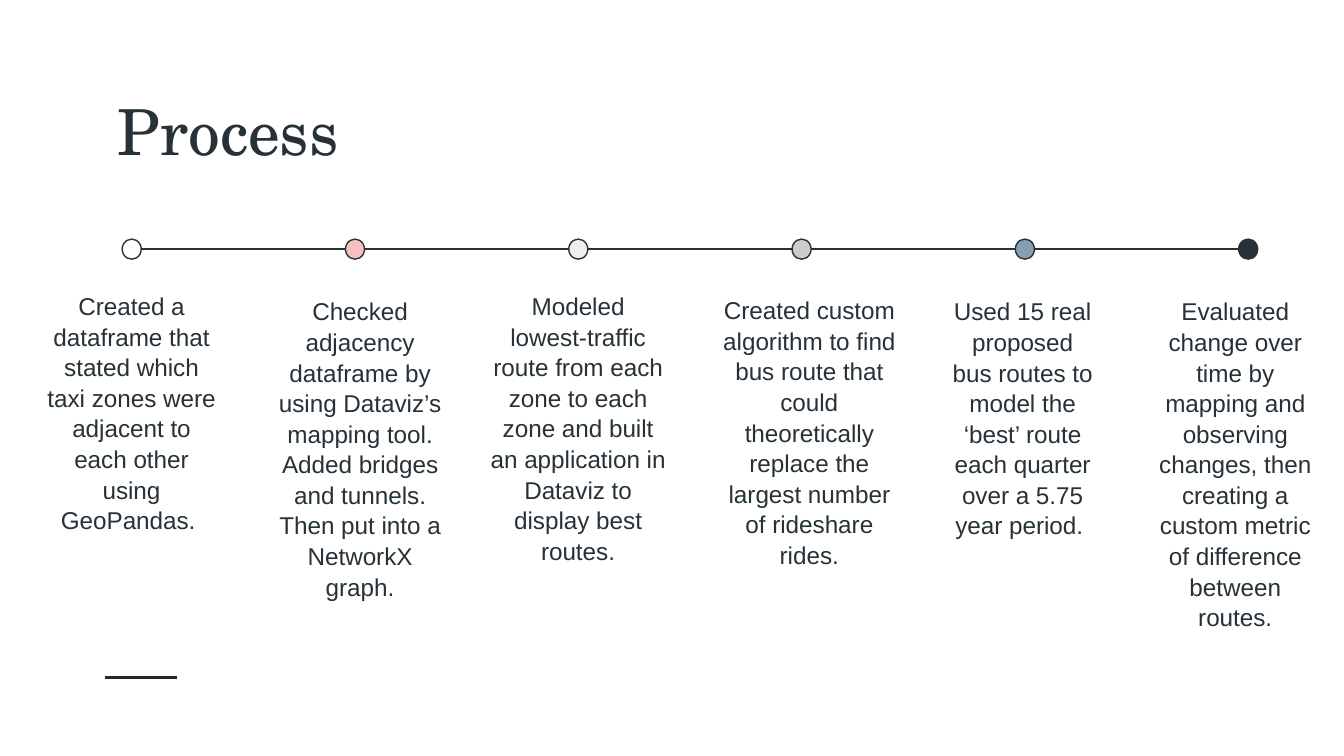
import pptx
import pptx.util
import pptx.dml.color
import pptx.enum.shapes
import pptx.enum.text
import pptx.oxml.ns
import lxml.etree

Cm = pptx.util.Cm
Pt = pptx.util.Pt

THEME = {
    "ink": "263238",
    "rule": "262626",
    "title_font": "TeX Gyre Schola",
    "body_font": "Arial",
    "title_size": 34,
    "body_size": 13,
    "line_spacing": 1.05,
    "inset": 0.25,
    "thin": 0.75,
    "thick": 1.5,
}

TITLE = "Process"

# text, dot colour, (left, top, width) of the caption in cm
STEPS = [
    ("Created a dataframe that stated which taxi zones were adjacent to each other using GeoPandas. ",
     "FFFFFF", (0.58, 5.23, 3.81)),
    ("Checked adjacency dataframe by using Dataviz’s mapping tool. Added bridges and tunnels. "
     "Then put into a NetworkX graph.",
     "F6C0C0", (4.9, 5.33, 3.81)),
    ("Modeled lowest-traffic route from each zone to each zone and built an application in Dataviz "
     "to display best routes.",
     "EFEFEF", (9.02, 5.23, 3.81)),
    ("Created custom algorithm to find bus route that could theoretically replace the largest number "
     "of rideshare rides.",
     "CCCCCC", (13.39, 5.31, 3.81)),
    ("Used 15 real proposed bus routes to model the ‘best’ route each quarter over a 5.75 year period. ",
     "869FB2", (17.75, 5.33, 3.15)),
    ("Evaluated change over time by mapping and observing changes, then creating a custom metric "
     "of difference between routes.",
     "263238", (21.54, 5.33, 3.61)),
]

CAPTION_HEIGHT = 2.26
FIRST_DOT_X = 2.49
DOT_STEP = 4.22
DOT_Y = 4.71
DOT_WIDTH = 0.36
DOT_HEIGHT = 0.38


def colour(value):
    return pptx.dml.color.RGBColor.from_string(value)


def write(shape, text, font_name, size, alignment):
    frame = shape.text_frame
    frame.text = text
    frame.word_wrap = True
    frame.auto_size = pptx.enum.text.MSO_AUTO_SIZE.NONE
    frame.margin_left = frame.margin_right = Cm(THEME["inset"])
    frame.margin_top = frame.margin_bottom = Cm(THEME["inset"])
    paragraph = frame.paragraphs[0]
    paragraph.alignment = alignment
    font = paragraph.runs[0].font
    font.name = font_name
    font.size = Pt(size)
    font.color.rgb = colour(THEME["ink"])
    return frame


def add_line(slide, left, right, y, line_colour, width):
    connector = slide.shapes.add_connector(
        pptx.enum.shapes.MSO_CONNECTOR.STRAIGHT, Cm(left), Cm(y), Cm(right), Cm(y))
    connector.line.color.rgb = colour(line_colour)
    connector.line.width = Pt(width)
    properties = connector._element.spPr
    lxml.etree.SubElement(properties, pptx.oxml.ns.qn("a:effectLst"))


def add_title(slide):
    title = slide.shapes.title
    title.left, title.top, title.width, title.height = Cm(1.98), Cm(1.5), Cm(21.44), Cm(1.93)
    frame = write(title, TITLE, THEME["title_font"], THEME["title_size"],
                  pptx.enum.text.PP_ALIGN.LEFT)
    frame.vertical_anchor = pptx.enum.text.MSO_ANCHOR.MIDDLE


def add_caption(slide, text, left, top, width):
    caption = slide.shapes.add_textbox(Cm(left), Cm(top), Cm(width), Cm(CAPTION_HEIGHT))
    frame = write(caption, text, THEME["body_font"], THEME["body_size"],
                  pptx.enum.text.PP_ALIGN.CENTER)
    frame.vertical_anchor = pptx.enum.text.MSO_ANCHOR.TOP
    frame.paragraphs[0].line_spacing = THEME["line_spacing"]


def add_dot(slide, centre, fill):
    dot = slide.shapes.add_shape(
        pptx.enum.shapes.MSO_SHAPE.OVAL,
        Cm(centre - DOT_WIDTH / 2), Cm(DOT_Y - DOT_HEIGHT / 2), Cm(DOT_WIDTH), Cm(DOT_HEIGHT))
    dot.shadow.inherit = False
    dot.fill.solid()
    dot.fill.fore_color.rgb = colour(fill)
    dot.line.color.rgb = colour(THEME["ink"])
    dot.line.width = Pt(THEME["thin"])


def main():
    presentation = pptx.Presentation()
    presentation.slide_width = Cm(25.4)
    presentation.slide_height = Cm(14.29)
    slide = presentation.slides.add_slide(presentation.slide_layouts[5])

    add_line(slide, 1.98, 3.35, 12.8, THEME["rule"], THEME["thick"])
    add_title(slide)
    for index, (text, fill, place) in enumerate(STEPS):
        centre = FIRST_DOT_X + index * DOT_STEP
        add_caption(slide, text, *place)
        add_dot(slide, centre, fill)
        if index:
            add_line(slide, centre - DOT_STEP + DOT_WIDTH / 2, centre - DOT_WIDTH / 2, DOT_Y,
                     THEME["ink"], THEME["thin"])

    presentation.save("out.pptx")


if __name__ == "__main__":
    main()
